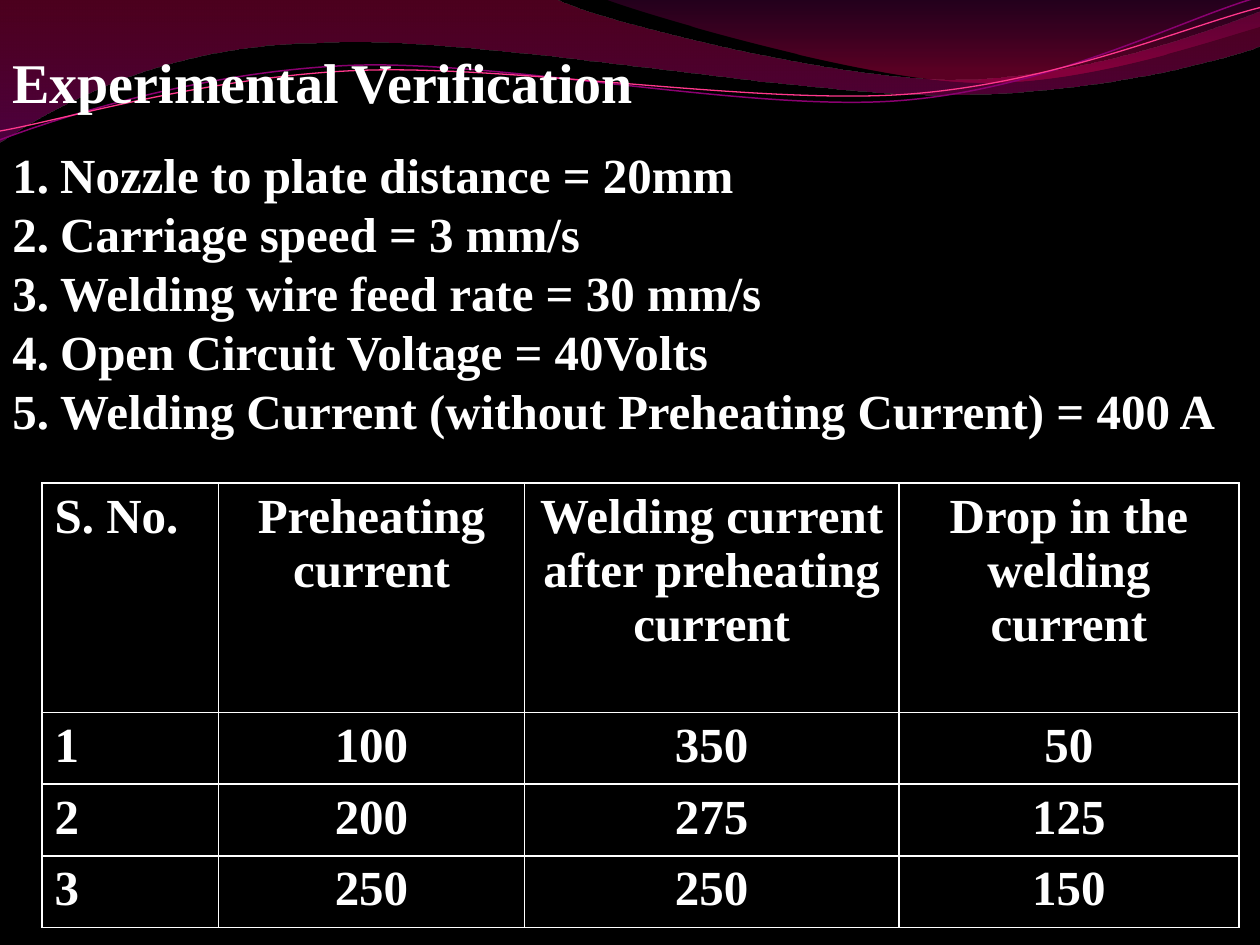
from lxml import etree
from pptx import Presentation
from pptx.dml.color import RGBColor
from pptx.enum.text import PP_ALIGN as Align
from pptx.oxml.ns import qn
from pptx.util import Inches, Pt

BLACK = RGBColor(0x00, 0x00, 0x00)
WHITE = RGBColor(0xFF, 0xFF, 0xFF)
WINE = RGBColor(0xA9, 0x00, 0x42)
PLUM = RGBColor(0x8E, 0x00, 0x73)
GRAPE = RGBColor(0x73, 0x00, 0x5E)
ROSE = RGBColor(0xC9, 0x00, 0x4F)
MAUVE = RGBColor(0x8A, 0x00, 0x70)
PINK = RGBColor(0xFF, 0x38, 0x8C)

deck = Presentation()
deck.slide_width, deck.slide_height = Inches(10), Inches(7.5)
slide = deck.slides.add_slide(deck.slide_layouts[6])
slide.background.fill.solid()
slide.background.fill.fore_color.rgb = BLACK


def draw(start, parts, close):
    dots = [part[i:i + 2] for part in parts for i in range(0, len(part), 2)]
    spots = [(Inches(x), Inches(y)) for x, y in [start] + dots]
    pen = slide.shapes.build_freeform(*spots[0], scale=1.0)
    pen.add_line_segments(spots[1:], close=close)
    shape = pen.convert_to_shape()
    shape.shadow.inherit = False
    lines = iter(list(shape._element.spPr.iter(qn("a:lnTo"))))
    for part in parts:
        line = next(lines)
        if len(part) == 6:
            curve = etree.Element(qn("a:cubicBezTo"))
            line.addprevious(curve)
            for leg in (line, next(lines), next(lines)):
                curve.append(leg[0])
                leg.getparent().remove(leg)
    return shape


def style(para, size):
    look = {"name": "Times New Roman", "size": Pt(size), "bold": True}
    for key, value in look.items():
        setattr(para.font, key, value)
    para.font.color.rgb = WHITE


waves = [
    ((0, -0.01),
     [(4.4, -0.01), (4.76, 0.17, 6.64, 0.63, 7.58, 0.63),
      (8.53, 0.63, 9.58, 0.26, 10, 0.09), (10.01, 0.36),
      (9.83, 0.44, 8.7, 0.76, 7.46, 0.75), (6.22, 0.75, 3.82, 0.28, 2.57, 0.34),
      (1.29, 0.35, 0.46, 0.83, -0.01, 1.13)],
     [(0, WINE, 45), (1, PLUM, 55)]),
    ((4.79, -0.01),
     [(5.09, 0.11, 6.82, 0.62, 7.69, 0.65), (8.56, 0.69, 9.61, 0.32, 10, 0.21),
      (10, 0)],
     [(0, GRAPE, 30), (0.8, ROSE, 45)]),
]
for start, parts, stops in waves:
    wave = draw(start, parts, True)
    wave.line.fill.background()
    wave.fill.gradient()
    wave.fill.gradient_angle = 270
    for stop, (place, tint, _) in zip(wave.fill.gradient_stops, stops):
        stop.position = place
        stop.color.rgb = tint
    tints = list(wave._element.spPr.iter(qn("a:srgbClr")))
    for node, (_, _, alpha) in zip(tints, stops):
        etree.SubElement(node, qn("a:alpha"), val=str(alpha * 1000))

threads = [
    ((0, 1.11),
     [(0.48, 0.93, 1.58, 0.57, 2.77, 0.52), (3.95, 0.47, 5.93, 0.89, 7.13, 0.8),
      (8.33, 0.71, 9.38, 0.15, 9.98, -0.02)], MAUVE, 0.85),
    ((0, 1.04),
     [(0.47, 0.96, 1.64, 0.61, 2.83, 0.56), (4.03, 0.51, 5.97, 0.83, 7.17, 0.75),
      (8.36, 0.67, 9.41, 0.21, 10, 0.06)], PINK, 0.75),
]
for start, parts, tint, width in threads:
    thread = draw(start, parts, False)
    thread.fill.background()
    thread.line.color.rgb = tint
    thread.line.width = Pt(width)

items = [
    "Nozzle to plate distance = 20mm",
    "Carriage speed = 3 mm/s",
    "Welding wire feed rate = 30 mm/s",
    "Open Circuit Voltage = 40Volts",
    "Welding Current (without Preheating Current) = 400 A",
]
box = slide.shapes.add_textbox(Inches(0), Inches(0.33), Inches(10), Inches(3.2))
frame = box.text_frame
frame.word_wrap = True
title = frame.paragraphs[0]
title.text = "Experimental Verification"
style(title, 32)
for row, item in enumerate(items):
    para = frame.add_paragraph()
    para.text = item
    para.space_before = Pt(0 if row else 17)
    props = para._p.get_or_add_pPr()
    props.set("marL", str(Inches(0.38)))
    props.set("indent", str(-Inches(0.38)))
    etree.SubElement(props, qn("a:buFont"), typeface="+mj-lt")
    etree.SubElement(props, qn("a:buAutoNum"), type="arabicPeriod")
    style(para, 28)

rows = [
    ["S. No.", "Preheating current", "Welding current after preheating current",
     "Drop in the welding current"],
    ["1", "100", "350", "50"],
    ["2", "200", "275", "125"],
    ["3", "250", "250", "150"],
]
widths = [1.4, 2.43, 2.97, 2.7]
heights = [1.82, 0.57, 0.57, 0.57]
table = slide.shapes.add_table(
    len(rows), len(widths), Inches(1 / 3), Inches(23 / 6),
    Inches(sum(widths)), Inches(sum(heights))).table
for key, value in {"first_row": False, "horz_banding": False}.items():
    setattr(table, key, value)
for col, width in zip(table.columns, widths):
    col.width = Inches(width)
for line, height in zip(table.rows, heights):
    line.height = Inches(height)
for r, row in enumerate(rows):
    for c, text in enumerate(row):
        cell = table.cell(r, c)
        cell.text = text
        para = cell.text_frame.paragraphs[0]
        para.alignment = Align.CENTER if c else Align.LEFT
        style(para, 28)
        props = cell._tc.get_or_add_tcPr()
        for side in ("lnL", "lnR", "lnT", "lnB"):
            edge = etree.SubElement(props, qn("a:" + side), w=str(Pt(1)))
            fill = etree.SubElement(edge, qn("a:solidFill"))
            etree.SubElement(fill, qn("a:srgbClr"), val=str(WHITE))
        cell.fill.background()

deck.save("out.pptx")
